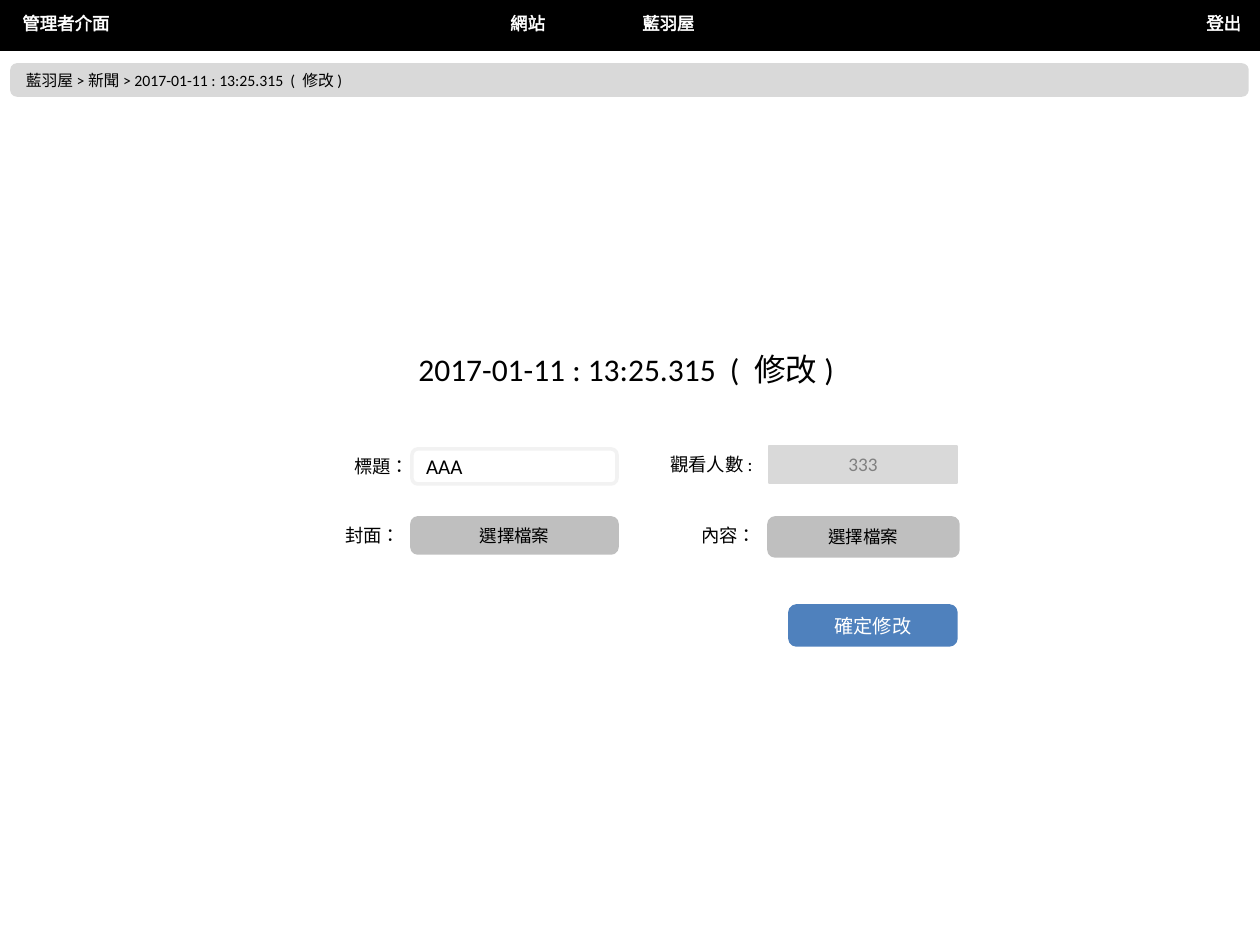
import pptx
import pptx.util
import pptx.dml.color
import pptx.enum.lang
import pptx.enum.shapes
import pptx.enum.text
import lxml.etree
from pptx.oxml.ns import qn

RGB = pptx.dml.color.RGBColor
SHAPE = pptx.enum.shapes.MSO_SHAPE
ALIGN = pptx.enum.text.PP_ALIGN
ANCHOR = pptx.enum.text.MSO_ANCHOR
FIT = pptx.enum.text.MSO_AUTO_SIZE
LANGUAGE = pptx.enum.lang.MSO_LANGUAGE_ID.TRADITIONAL_CHINESE

BLACK = RGB(0x00, 0x00, 0x00)
WHITE = RGB(0xFF, 0xFF, 0xFF)
PALE = RGB(0xF2, 0xF2, 0xF2)
LIGHT = RGB(0xD9, 0xD9, 0xD9)
SILVER = RGB(0xBF, 0xBF, 0xBF)
GRAY = RGB(0x80, 0x80, 0x80)
BLUE = RGB(0x4F, 0x81, 0xBD)

FONT = "Calibri"
PX_PER_INCH = 126
SITE_NAME = "藍羽屋"
EDIT_TITLE = "2017-01-11 : 13:25.315  (  修改 )"
ROW_TITLE, ROW_FILES = 449, 518
LABEL_X, INPUT_X, RIGHT_X = 333, 412, 769


def px(length):
    """Turn a length in px into EMU."""
    return round(length * pptx.util.Inches(1) / PX_PER_INCH)


def write(box, text, size, color, align):
    """Put one formatted paragraph into a box."""
    para = box.text_frame.paragraphs[0]
    para.text = text
    para.alignment = align
    span = para.runs[0]
    span.font.size = pptx.util.Pt(size)
    span.font.name = FONT
    span.font.language_id = LANGUAGE
    span.font.color.rgb = color
    return span


def add_label(page, bounds, text, size=10.5, color=BLACK, align=ALIGN.LEFT, wrap=True):
    """Add a text box that grows with its text."""
    box = page.shapes.add_textbox(*map(px, bounds))
    box.text_frame.word_wrap = wrap
    box.text_frame.auto_size = FIT.SHAPE_TO_FIT_TEXT
    return write(box, text, size, color, align)


def add_nav_item(page, left, width, text):
    """Add a white outlined menu entry to the top bar."""
    span = add_label(page, (left, 6, width, 34), text, 10, WHITE, wrap=False)
    properties = span.font._element
    outline = lxml.etree.Element(qn("a:ln"), w=str(pptx.util.Pt(0.75)))
    fill = lxml.etree.SubElement(outline, qn("a:solidFill"))
    lxml.etree.SubElement(fill, qn("a:srgbClr"), val=str(WHITE))
    properties.insert(0, outline)


def add_panel(page, kind, bounds, fill, line=None, weight=2):
    """Add a filled shape with a line, by default of the same colour."""
    panel = page.shapes.add_shape(kind, *map(px, bounds))
    panel.shadow.inherit = False
    panel.fill.solid()
    panel.fill.fore_color.rgb = fill
    panel.line.color.rgb = line or fill
    panel.line.width = pptx.util.Pt(weight)
    return panel


def add_field(page, bounds, text, size, fill, line=None, color=BLACK, align=ALIGN.CENTER):
    """Add a rounded panel with text in its middle."""
    field = add_panel(page, SHAPE.ROUNDED_RECTANGLE, bounds, fill, line)
    field.text_frame.vertical_anchor = ANCHOR.MIDDLE
    write(field, text, size, color, align)


def add_counter(page, bounds, text):
    """Add the read-only number box."""
    counter = add_panel(page, SHAPE.RECTANGLE, bounds, LIGHT, weight=0.75)
    counter.text_frame.vertical_anchor = ANCHOR.TOP
    counter.text_frame.auto_size = FIT.SHAPE_TO_FIT_TEXT
    write(counter, text, 11, GRAY, ALIGN.CENTER)


def add_header(page):
    """Add the top bar, its menu and the breadcrumb."""
    add_panel(page, SHAPE.RECTANGLE, (0, 0, 1260, 49), BLACK)
    for left, width, text in ((10, 113, "管理者介面"), (1194, 60, "登出"),
                              (498, 60, "網站"), (630, 78, SITE_NAME)):
        add_nav_item(page, left, width, text)
    add_field(page, (12, 65, 1235, 30), f"{SITE_NAME} > 新聞 > {EDIT_TITLE}", 9, LIGHT,
              align=ALIGN.LEFT)


def add_form(page):
    """Add the edit form with its heading, fields and button."""
    add_field(page, (790, 606, 166, 39), "確定修改", 11, BLUE, color=WHITE)
    add_label(page, (406, 344, 446, 50), EDIT_TITLE, 18)
    add_label(page, (654, 447, 115, 35), "觀看人數 :", align=ALIGN.CENTER)
    add_counter(page, (RIGHT_X, 446, 188, 37), "333")
    add_label(page, (LABEL_X, ROW_TITLE, 79, 35), "標題：", align=ALIGN.CENTER)
    add_field(page, (INPUT_X, ROW_TITLE, 205, 35), "AAA", 12, WHITE, PALE, align=ALIGN.LEFT)
    for label_x, label, left, width, height in ((LABEL_X, "封面：", INPUT_X, 205, 35),
                                                (689, "內容：", RIGHT_X, 189, 38)):
        add_label(page, (label_x, ROW_FILES, 79, 35), label)
        add_field(page, (left, ROW_FILES, width, height), "選擇檔案", 10, SILVER)


def main():
    """Build the deck and save it."""
    deck = pptx.Presentation()
    deck.slide_width = pptx.util.Inches(10)
    deck.slide_height = pptx.util.Inches(7.5)
    page = deck.slides.add_slide(deck.slide_layouts[6])
    add_header(page)
    add_form(page)
    deck.save("out.pptx")


if __name__ == "__main__":
    main()
